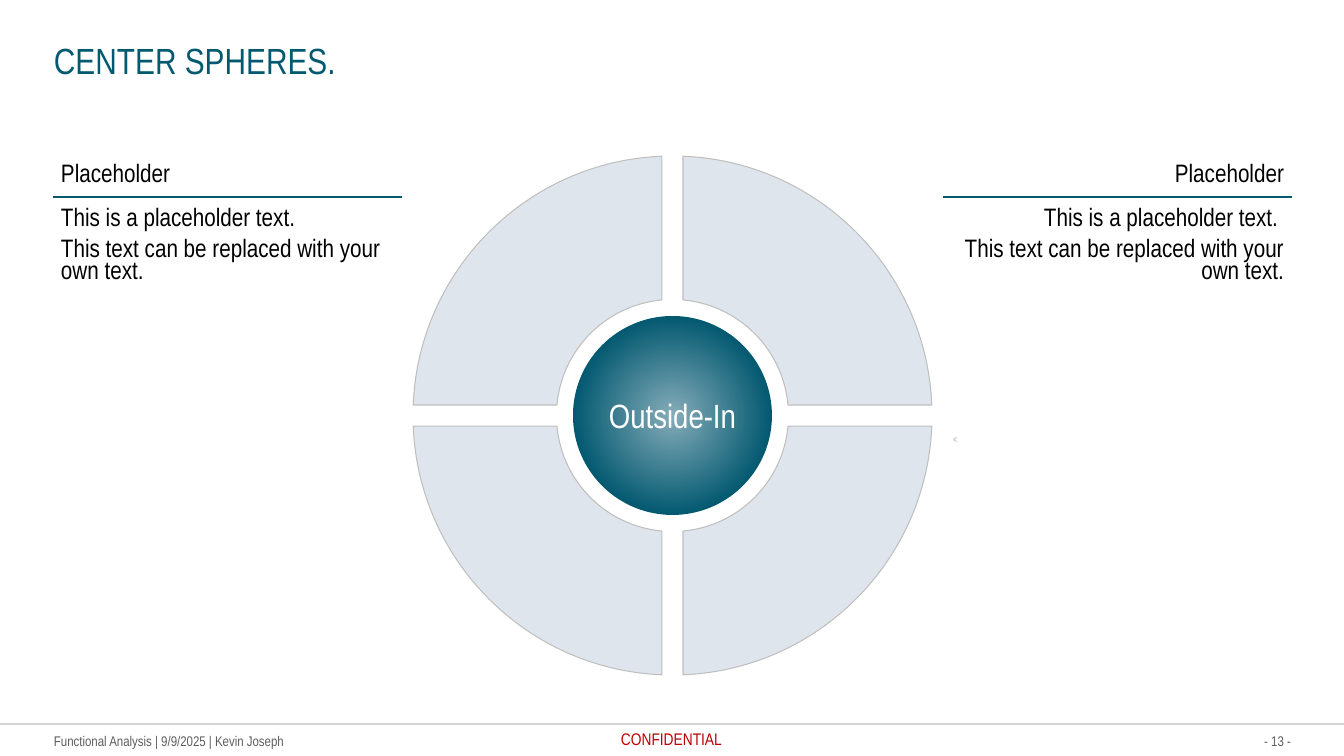
"""Build the Center Spheres slide: a four-part ring around a sphere with two text tables."""
import math

import pptx
import pptx.dml.color
import pptx.enum.dml
import pptx.enum.shapes
import pptx.enum.text
import pptx.oxml
import pptx.util

SCALE = 914400 / 100.8
FONT = "Arial Narrow"
TEAL = "035970"
BLACK = "000000"
NAMESPACE = 'xmlns:a="http://schemas.openxmlformats.org/drawingml/2006/main"'
LEFT = pptx.enum.text.PP_ALIGN.LEFT
CENTER = pptx.enum.text.PP_ALIGN.CENTER
RIGHT = pptx.enum.text.PP_ALIGN.RIGHT
TOP = pptx.enum.text.MSO_ANCHOR.TOP
MIDDLE = pptx.enum.text.MSO_ANCHOR.MIDDLE
SHAPES = pptx.enum.shapes.MSO_SHAPE


def px(value):
    return pptx.util.Emu(round(value * SCALE))


def color(value):
    return pptx.dml.color.RGBColor.from_string(value)


presentation = pptx.Presentation()
presentation.slide_width = px(1344)
presentation.slide_height = px(756)
slide = presentation.slides.add_slide(presentation.slide_layouts[6])

footer_line = slide.shapes.add_connector(
    pptx.enum.shapes.MSO_CONNECTOR.STRAIGHT, px(0), px(724), px(1344), px(724))
footer_line.line.width = pptx.util.Pt(1)
footer_line.line.color.rgb = color(BLACK)
line_color = footer_line.line._ln.find(".//{*}srgbClr")
line_color.append(pptx.oxml.parse_xml(f'<a:alpha {NAMESPACE} val="25000"/>'))
footer_line._element.spPr.append(pptx.oxml.parse_xml(f"<a:effectLst {NAMESPACE}/>"))

text_boxes = [
    ("Functional Analysis | 9/9/2025 | Kevin Joseph", 54, 732, 255, 17, 10, "5E5E5E", LEFT, MIDDLE, False),
    ("- 13 -", 1259, 732, 32, 17, 10, "5E5E5E", RIGHT, MIDDLE, False),
    ("CONFIDENTIAL", 621, 729, 105, 20, 12, "C00000", LEFT, TOP, True),
    ("CENTER SPHERES.", 54, 38, 1238, 44, 26, TEAL, LEFT, TOP, True),
]
for text, left, top, width, height, size, text_color, alignment, anchor, wrap in text_boxes:
    text_box = slide.shapes.add_textbox(px(left), px(top), px(width), px(height))
    frame = text_box.text_frame
    frame.margin_left = frame.margin_right = frame.margin_top = frame.margin_bottom = 0
    frame.word_wrap = wrap
    frame.vertical_anchor = anchor
    paragraph = frame.paragraphs[0]
    paragraph.text = text
    paragraph.alignment = alignment
    paragraph.font.name = FONT
    paragraph.font.size = pptx.util.Pt(size)
    paragraph.font.color.rgb = color(text_color)

RING_LEFT, RING_TOP = 413, 156
RING_SIZE, HOLE_SIZE, SPHERE_SIZE, GAP = 519, 232, 199, 21
CENTER_X = RING_LEFT + RING_SIZE / 2
CENTER_Y = RING_TOP + RING_SIZE / 2

sphere = slide.shapes.add_shape(
    SHAPES.OVAL, px(CENTER_X - SPHERE_SIZE / 2), px(CENTER_Y - SPHERE_SIZE / 2),
    px(SPHERE_SIZE), px(SPHERE_SIZE))
sphere.shadow.inherit = False
sphere.line.fill.background()
sphere.fill.gradient()
for stop, position, stop_color in zip(sphere.fill.gradient_stops, (0, 0.71), ("85ACB9", TEAL)):
    stop.position = position
    stop.color.rgb = color(stop_color)
direction = sphere._element.spPr.find(".//{*}lin")
direction.getparent().replace(direction, pptx.oxml.parse_xml(
    f'<a:path {NAMESPACE} path="circle">'
    '<a:fillToRect l="50000" t="50000" r="50000" b="50000"/></a:path>'))
sphere.text_frame.word_wrap = False
sphere.text_frame.vertical_anchor = MIDDLE
paragraph = sphere.text_frame.paragraphs[0]
paragraph.text = "Outside-In"
paragraph.alignment = CENTER
paragraph.font.name = FONT
paragraph.font.size = pptx.util.Pt(24)
paragraph.font.color.rgb = color("FFFFFF")

moon = slide.shapes.add_shape(SHAPES.MOON, px(953), px(437), px(5), px(5))
moon.shadow.inherit = False
moon.fill.solid()
moon.fill.fore_color.rgb = color("D9D9D9")
moon.line.fill.background()

for side_x, side_y in [(1, -1), (1, 1), (-1, -1), (-1, 1)]:
    outline = []
    for diameter, order in [(RING_SIZE, 1), (HOLE_SIZE, -1)]:
        radius = diameter / 2
        start = math.asin(GAP / diameter)
        along, across = radius * math.cos(start), GAP / 2
        handle = 4 / 3 * math.tan((math.pi / 2 - 2 * start) / 4)
        near, far = along - handle * across, across + handle * along
        curve = [(along, across), (near, far), (far, near), (across, along)]
        outline += [(px(CENTER_X + side_x * x), px(CENTER_Y + side_y * y))
                    for x, y in curve[::order]]
    builder = slide.shapes.build_freeform(*outline[0])
    builder.add_line_segments(outline[1:], close=True)
    quadrant = builder.convert_to_shape()
    segments = quadrant._element.spPr.findall(".//{*}lnTo")
    for arc in (segments[:3], segments[4:7]):
        bezier = pptx.oxml.parse_xml(f"<a:cubicBezTo {NAMESPACE}/>")
        arc[0].addprevious(bezier)
        for segment in arc:
            bezier.append(segment[0])
            segment.getparent().remove(segment)
    quadrant.shadow.inherit = False
    quadrant.fill.solid()
    quadrant.fill.fore_color.rgb = color("DEE5EC")
    quadrant.line.color.rgb = color("BFBFBF")
    quadrant.line.width = pptx.util.Pt(0.75)

tables = [(53, LEFT, "This is a placeholder text."), (943, RIGHT, "This is a placeholder text. ")]
for left, alignment, first_line in tables:
    table = slide.shapes.add_table(2, 1, px(left), px(156), px(349), px(149)).table
    table.first_row = False
    table.horz_banding = False
    table._tbl.tblPr.find("{*}tableStyleId").text = "{2D5ABB26-0587-4C30-8999-92F81FD0307C}"
    rows = [
        (41, 4, MIDDLE, "lnB", ["Placeholder"]),
        (108, 12, TOP, "lnT", [first_line, "This text can be replaced with your own text."]),
    ]
    for index, (height, margin_top, anchor, border, lines) in enumerate(rows):
        table.rows[index].height = px(height)
        cell = table.cell(index, 0)
        cell.margin_left = cell.margin_right = px(8)
        cell.margin_top = px(margin_top)
        cell.margin_bottom = px(4)
        cell.vertical_anchor = anchor
        cell.fill.background()
        cell._tc.tcPr.insert(0, pptx.oxml.parse_xml(
            f'<a:{border} {NAMESPACE} w="19050"><a:solidFill><a:srgbClr val="{TEAL}"/>'
            f"</a:solidFill></a:{border}>"))
        cell.text = "\n".join(lines)
        for paragraph in cell.text_frame.paragraphs:
            paragraph.alignment = alignment
            if border == "lnT":
                paragraph.line_spacing = 0.93
                paragraph.space_after = pptx.util.Pt(6)
            paragraph.font.name = FONT
            paragraph.font.size = pptx.util.Pt(18)
            paragraph.font.color.rgb = color(BLACK)

presentation.save("out.pptx")
